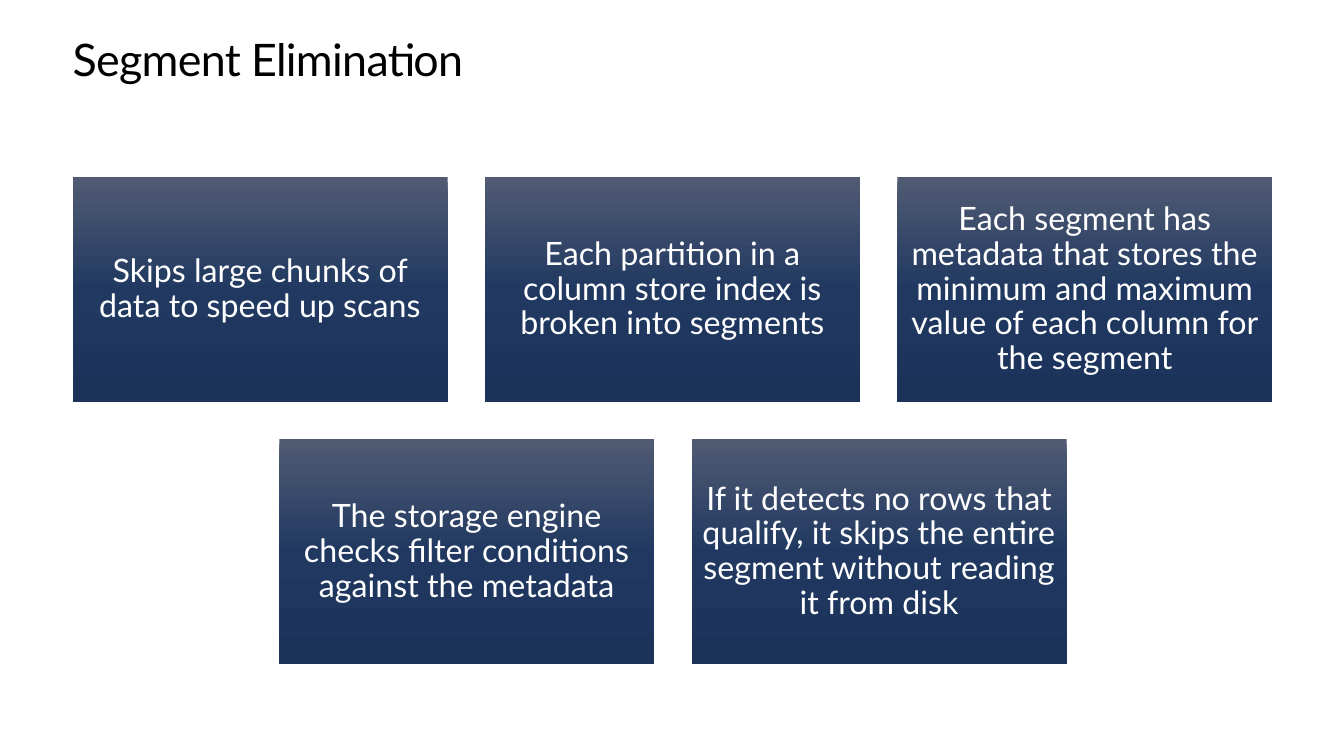
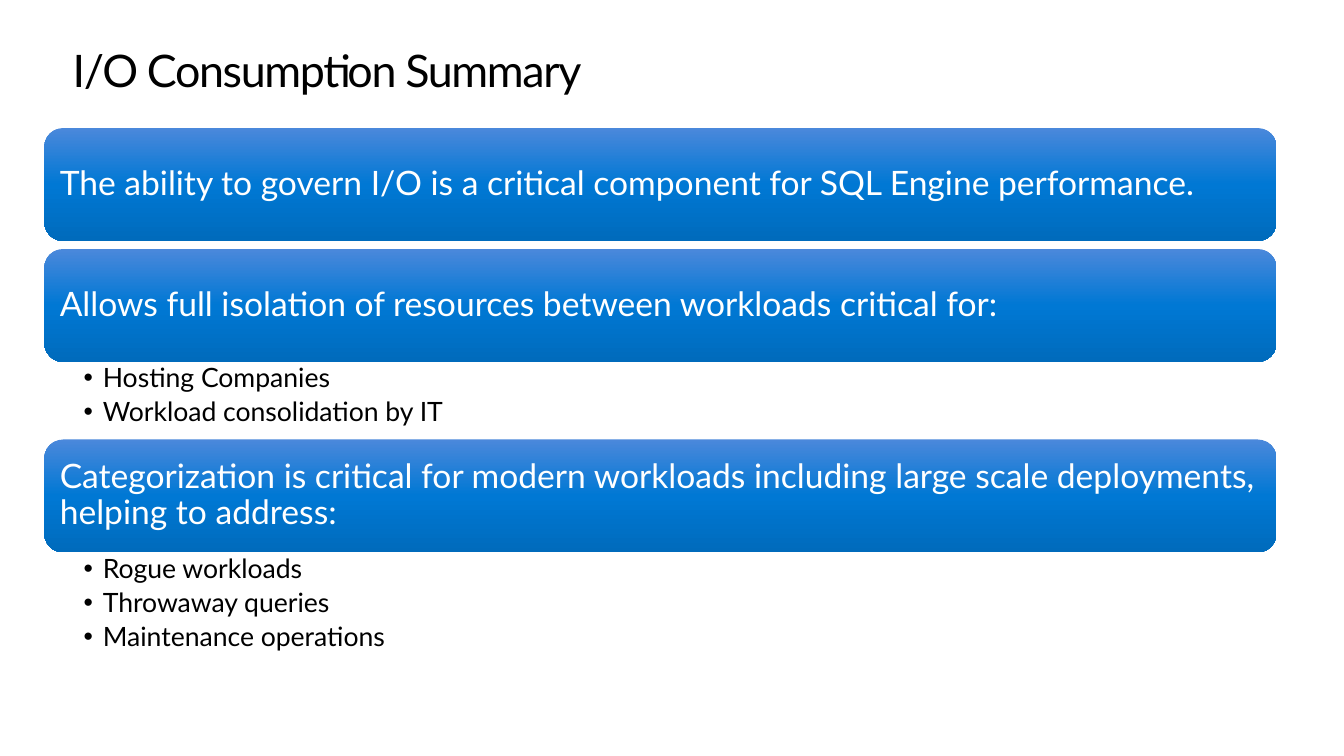
from dataclasses import dataclass
from typing import Any

from lxml import etree
from pptx import Presentation
from pptx.dml.color import RGBColor
from pptx.enum.shapes import MSO_SHAPE
from pptx.enum.text import MSO_ANCHOR, MSO_AUTO_SIZE, PP_ALIGN
from pptx.oxml.ns import qn
from pptx.util import Pt

RECT, ROUND = MSO_SHAPE.RECTANGLE, MSO_SHAPE.ROUNDED_RECTANGLE
TOP, MIDDLE = MSO_ANCHOR.TOP, MSO_ANCHOR.MIDDLE
LEFT, CENTER = PP_ALIGN.LEFT, PP_ALIGN.CENTER
NO_FIT = MSO_AUTO_SIZE.NONE

PX = 9144  # EMU per px, 100 px to the inch
FACE = "Lato"
COLORS = {
    "ink": "000000",
    "paper": "FFFFFF",
    "navy_top": "505B73",
    "navy_mid": "213961",
    "navy_end": "1B3259",
    "blue_top": "4B88DB",
    "blue_mid": "0078D4",
    "blue_end": "006BBC",
}
TITLE_BOX = (72, 35, 1190, 50)


@dataclass(frozen=True)
class Look:
    """Shape, gradient family and text format of a filled panel."""
    form: MSO_SHAPE
    hue: str
    size: int
    align: PP_ALIGN


@dataclass(frozen=True)
class Topic:
    text: str
    items: tuple[str, ...] = ()
    tall: int = 8  # space below the bar, which holds any items


CARD = Look(RECT, "navy", 23, CENTER)
BAR = Look(ROUND, "blue", 24, LEFT)

CARD_ROWS = (
    (
        "Skips large chunks of data to speed up scans",
        "Each partition in a column store index is broken into segments",
        "Each segment has metadata that stores the minimum and maximum "
        "value of each column for the segment",
    ),
    (
        "The storage engine checks filter conditions against the metadata",
        "If it detects no rows that qualify, it skips the entire segment "
        "without reading it from disk",
    ),
)
TOPICS = (
    Topic("The ability to govern I/O is a critical component for SQL Engine performance."),
    Topic("Allows full isolation of resources between workloads critical for:",
          ("Hosting Companies", "Workload consolidation by IT"), 77),
    Topic("Categorization is critical for modern workloads including large scale "
          "deployments, helping to address:",
          ("Rogue workloads", "Throwaway queries", "Maintenance operations"), 117),
)


def apply(target: Any, values: dict[str, Any]) -> None:
    for name, value in values.items():
        setattr(target, name, value)


def place(*box: int) -> list[int]:
    return [n * PX for n in box]


def set_frame(frame: Any, pads: tuple[int, int, int, int], anchor: MSO_ANCHOR) -> None:
    """Set insets (left, top, right, bottom), anchor and wrapping."""
    sides = ("margin_left", "margin_top", "margin_right", "margin_bottom")
    apply(frame, dict(zip(sides, place(*pads))))
    apply(frame, {"word_wrap": True, "auto_size": NO_FIT, "vertical_anchor": anchor})


def write(para: Any, text: str, size: int, color: str, **layout: Any) -> None:
    run = para.add_run()
    run.text = text
    apply(para, layout)
    apply(run.font, {"name": FACE, "size": Pt(size)})
    run.font.color.rgb = RGBColor.from_string(COLORS[color])


def add_title(deck: Any, text: str, pads: tuple[int, int, int, int], track: int) -> Any:
    """Add a title-only slide; track is letter spacing in 1/100 pt."""
    slide = deck.slides.add_slide(deck.slide_layouts[5])
    title = slide.shapes.title
    apply(title, dict(zip(("left", "top", "width", "height"), place(*TITLE_BOX))))
    set_frame(title.text_frame, pads, TOP)
    para = title.text_frame.paragraphs[0]
    write(para, text, 32, "ink", alignment=LEFT, line_spacing=Pt(36.2), space_before=Pt(0))
    para.runs[0].font._element.set("spc", str(track))
    return slide


def shade(shape: Any, hue: str) -> None:
    """Fill with a three-stop gradient running from top to bottom."""
    shape.fill.gradient()
    shape.fill.gradient_angle = 270
    stops = shape._element.spPr.find(qn("a:gradFill")).find(qn("a:gsLst"))
    for old in list(stops):
        stops.remove(old)
    for spot, part in ((0, "top"), (50, "mid"), (100, "end")):
        stop = etree.SubElement(stops, qn("a:gs"), pos=str(spot * 1000))
        etree.SubElement(stop, qn("a:srgbClr"), val=COLORS[f"{hue}_{part}"])


def add_panel(slide: Any, look: Look, text: str, box: tuple[int, int, int, int]) -> None:
    shape = slide.shapes.add_shape(look.form, *place(*box))
    shape.shadow.inherit = False
    shape.line.fill.background()
    shade(shape, look.hue)
    set_frame(shape.text_frame, (10, 10, 10, 10), MIDDLE)
    write(shape.text_frame.paragraphs[0], text, look.size, "paper",
          alignment=look.align, line_spacing=0.9)


def add_list(slide: Any, items: tuple[str, ...], box: tuple[int, int, int, int]) -> None:
    frame = slide.shapes.add_textbox(*place(*box)).text_frame
    set_frame(frame, (39, 3, 19, 3), TOP)
    for i, item in enumerate(items):
        para = frame.add_paragraph() if i else frame.paragraphs[0]
        props = para._p.get_or_add_pPr()
        props.set("marL", str(19 * PX))
        props.set("indent", str(-19 * PX))
        etree.SubElement(props, qn("a:buFont"), typeface="Arial")
        etree.SubElement(props, qn("a:buChar"), char="•")
        write(para, item, 19, "ink", level=1, alignment=LEFT,
              line_spacing=0.9, space_after=Pt(3.8))


def draw_cards(deck: Any) -> None:
    slide = add_title(deck, "Segment Elimination", (0, 0, 0, 0), -50)
    wide, high, gap, top, mid = 372, 223, 37, 176, 667
    for row, texts in enumerate(CARD_ROWS):
        span = len(texts) * (wide + gap) - gap
        left = mid - span // 2
        for col, text in enumerate(texts):
            box = (left + col * (wide + gap), top + row * (high + gap), wide, high)
            add_panel(slide, CARD, text, box)


def draw_topics(deck: Any) -> None:
    slide = add_title(deck, "I/O Consumption Summary", (0, 10, 16, 10), -100)
    left, top, wide, high = 44, 127, 1222, 112
    for topic in TOPICS:
        add_panel(slide, BAR, topic.text, (left, top, wide, high))
        top += high
        if topic.items:
            add_list(slide, topic.items, (left, top, wide, topic.tall))
        top += topic.tall


def main() -> None:
    deck = Presentation()
    apply(deck, dict(zip(("slide_width", "slide_height"), place(1333, 750))))
    draw_cards(deck)
    draw_topics(deck)
    deck.save("out.pptx")


if __name__ == "__main__":
    main()
